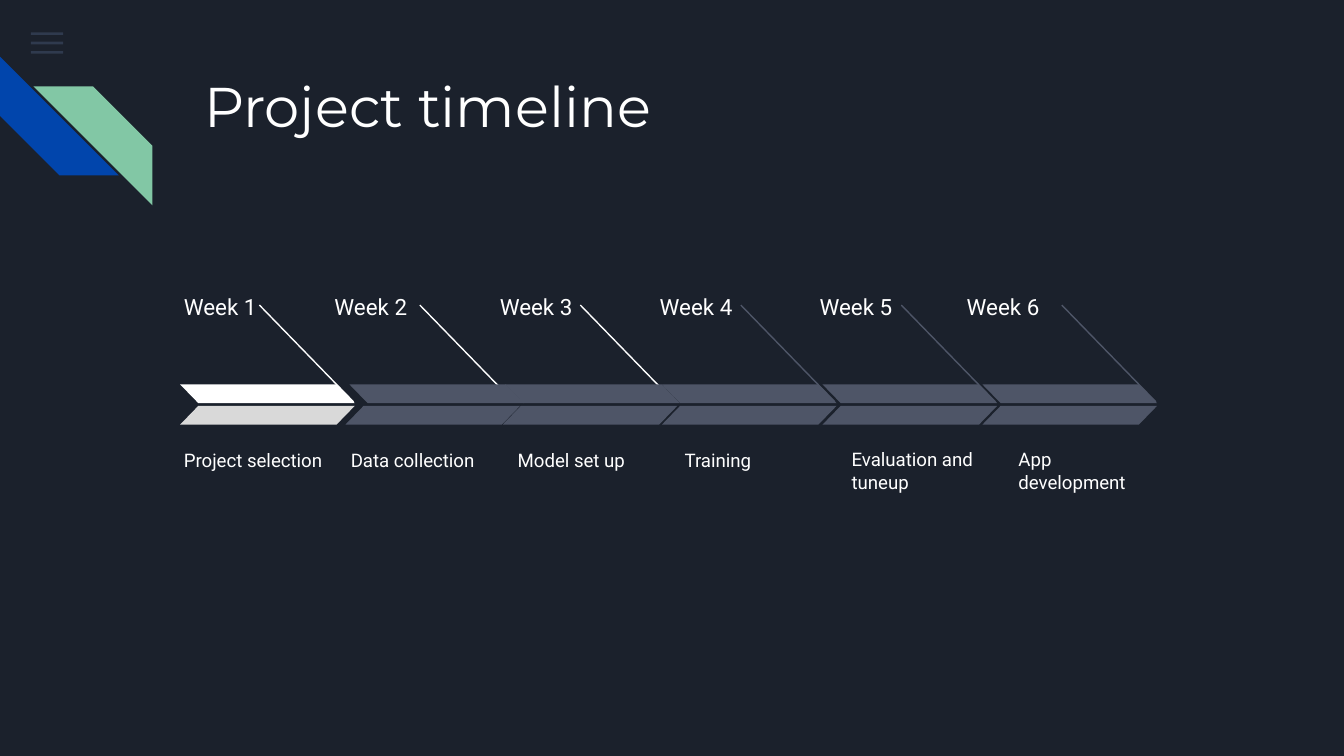
from lxml.etree import SubElement
from pptx import Presentation
from pptx.dml.color import RGBColor
from pptx.enum.shapes import MSO_CONNECTOR, MSO_SHAPE
from pptx.enum.text import MSO_ANCHOR, MSO_AUTO_SIZE, PP_ALIGN
from pptx.oxml.ns import qn
from pptx.util import Inches, Pt

NAVY = RGBColor(0x1B, 0x21, 0x2C)
STEEL = RGBColor(0x55, 0x68, 0x8B)
BLUE = RGBColor(0x01, 0x45, 0xAC)
GREEN = RGBColor(0x82, 0xC7, 0xA5)
WHITE = RGBColor(0xFF, 0xFF, 0xFF)
SILVER = RGBColor(0xD9, 0xD9, 0xD9)
SLATE = RGBColor(0x4E, 0x55, 0x67)

COLUMNS, ROWS = 100, 56.25
LEADER_STEP = 11.94
CAPTION_STEP = 12.42

WEEKS = [
    (12.7, 8, "Project selection", 31.7, WHITE),
    (23.9, 8, "Data collection", 31.7, WHITE),
    (36.2, 8.5, "Model set up", 31.7, WHITE),
    (48.1, 8.5, "Training", 31.7, SLATE),
    (60, 8.5, "Evaluation and tuneup", 33.3, SLATE),
    (70.95, 9.6, "App development", 33.3, SLATE),
]
BANDS = [
    (13.4, 13.4, WHITE, SILVER),
    (49.25, 49.25, SLATE, SLATE),
    (61.2, 61.2, SLATE, SLATE),
    (73.1, 73.1, SLATE, SLATE),
    (37.6, 37.4, SLATE, SLATE),
    (26, 25.7, SLATE, SLATE),
]


def write(box, text, *, size, font, color=WHITE, anchor=MSO_ANCHOR.TOP):
    frame = box.text_frame
    frame.word_wrap = True
    frame.auto_size = MSO_AUTO_SIZE.NONE
    frame.vertical_anchor = anchor
    frame.margin_left = frame.margin_right = Inches(0.1)
    frame.margin_top = frame.margin_bottom = Inches(0.1)
    paragraph = frame.paragraphs[0]
    paragraph.alignment = PP_ALIGN.LEFT
    span = paragraph.add_run()
    span.text = text
    span.font.size = Pt(size)
    span.font.name = font
    span.font.color.rgb = color


class TimelineSlide:
    heading_font = "Montserrat"
    body_font = "Roboto"

    def __init__(self, deck):
        self.column = deck.slide_width / COLUMNS
        self.row = deck.slide_height / ROWS
        self.page = deck.slides.add_slide(deck.slide_layouts[5])
        fill = self.page.background.fill
        fill.solid()
        fill.fore_color.rgb = NAVY

    def place(self, left, top, width, height):
        return (round(left * self.column), round(top * self.row),
                round(width * self.column), round(height * self.row))

    def title(self, text, *area):
        box = self.page.shapes.title
        box.left, box.top, box.width, box.height = self.place(*area)
        write(box, text, size=30, font=self.heading_font)

    def label(self, text, *area, size, anchor=MSO_ANCHOR.TOP):
        box = self.page.shapes.add_textbox(*self.place(*area))
        write(box, text, size=size, font=self.body_font, anchor=anchor)

    def shape(self, kind, *area, color, adjust=None, flip=False, turn=0, alpha=None):
        shape = self.page.shapes.add_shape(kind, *self.place(*area))
        shape.shadow.inherit = False
        shape.fill.solid()
        shape.fill.fore_color.rgb = color
        shape.line.fill.background()
        shape.rotation = turn
        if adjust is not None:
            shape.adjustments[0] = adjust
        if flip:
            shape.element.spPr.find(qn("a:xfrm")).set("flipH", "1")
        if alpha is not None:
            tint = shape.element.spPr.find(qn("a:solidFill"))[0]
            SubElement(tint, qn("a:alpha")).set("val", str(alpha * 1000))

    def leader(self, *area, color):
        x, y, across, down = self.place(*area)
        line = self.page.shapes.add_connector(
            MSO_CONNECTOR.STRAIGHT, x, y, x + across, y + down)
        line.line.color.rgb = color
        line.line.width = Pt(0.75)
        SubElement(line.element.spPr, qn("a:effectLst"))

    def band(self, left, top, color, flip=False):
        self.shape(MSO_SHAPE.PARALLELOGRAM, left, top, 13, 1.4,
                   color=color, adjust=0.97, flip=flip)


def main():
    deck = Presentation()
    deck.slide_width = Inches(10)
    deck.slide_height = deck.slide_width * 9 // 16
    slide = TimelineSlide(deck)

    for bar in range(3):
        slide.shape(MSO_SHAPE.RECTANGLE, 2.3, 2.4 + 0.7 * bar, 2.4, 0.2,
                    color=STEEL, alpha=36)
    slide.shape(MSO_SHAPE.DIAGONAL_STRIPE, 0, 4.2, 8.85, 8.85,
                color=BLUE, adjust=0.5, turn=270)
    slide.shape(MSO_SHAPE.DIAGONAL_STRIPE, 2.5, 6.43, 8.85, 8.85,
                color=GREEN, adjust=0.5, flip=True)
    slide.title("Project timeline", 14.2, 4.3, 77, 10)

    for index, (left, width, caption, top, color) in enumerate(WEEKS):
        slide.label(f"Week {index + 1}", left, 20.8, width, 2.3, size=12)
        slide.label(caption, 12.7 + CAPTION_STEP * index, top, 12.6, 4.4,
                    size=10, anchor=MSO_ANCHOR.BOTTOM)
        slide.leader(19.3 + LEADER_STEP * index, 22.7, 7, 7.2, color=color)

    for upper, lower, upper_color, lower_color in BANDS:
        slide.band(upper, 28.6, upper_color, flip=True)
        slide.band(lower, 30.2, lower_color)

    deck.save("out.pptx")


if __name__ == "__main__":
    main()
